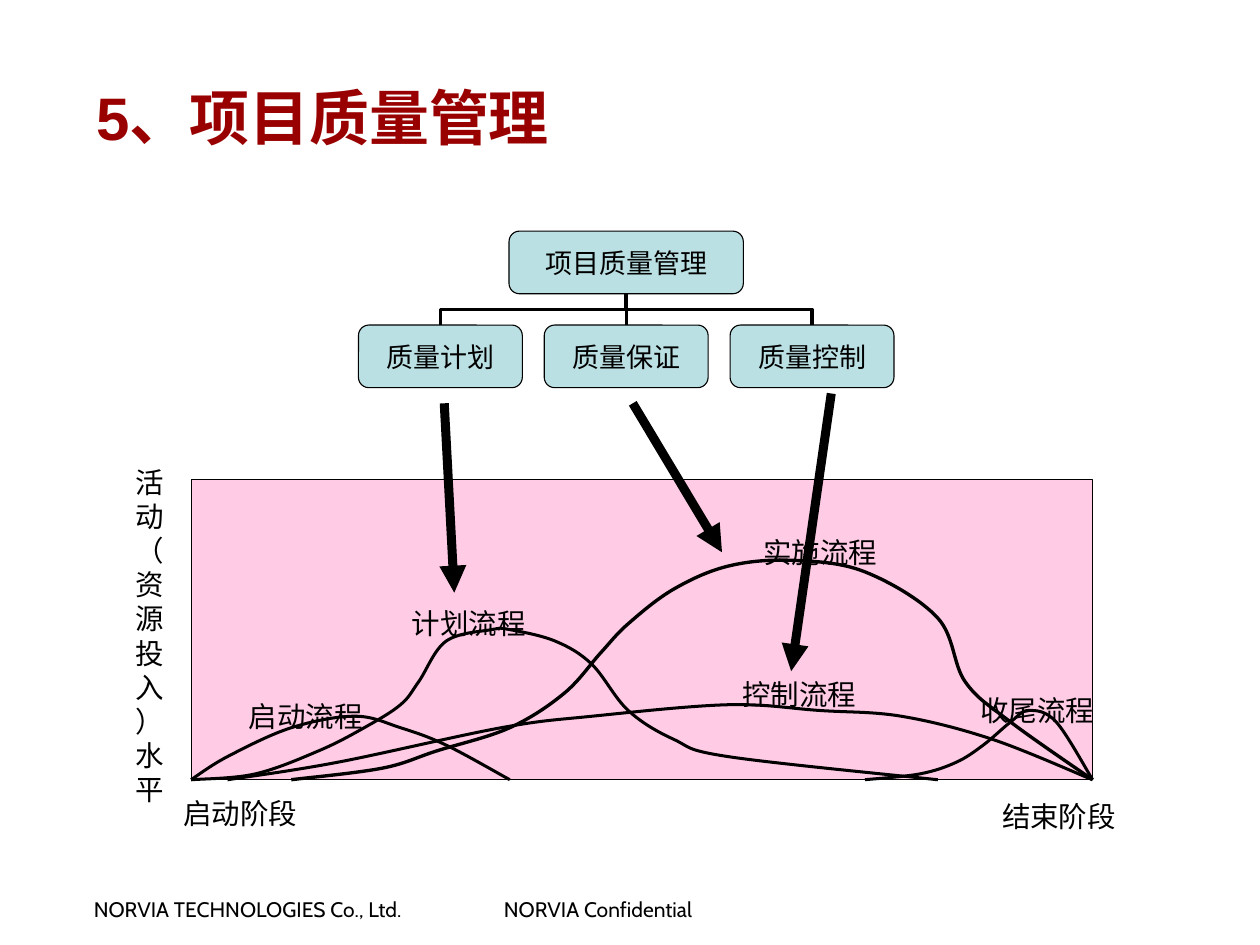
from collections import namedtuple
from itertools import pairwise

from lxml.etree import SubElement
from pptx import Presentation
from pptx.dml.color import RGBColor
from pptx.enum.shapes import MSO_CONNECTOR as Link, MSO_SHAPE as Shape
from pptx.enum.text import MSO_ANCHOR as Anchor, MSO_AUTO_SIZE as AutoSize, PP_ALIGN as Align
from pptx.oxml.ns import qn
from pptx.util import Inches, Pt

Box = namedtuple("Box", "left top width height")

COLORS = {"title": "990000", "ink": "000000", "node": "BBE0E3", "plot": "FF99CC"}
PLOT_COLUMNS, PLOT_ROWS = 99, 52
CURVES = [
    (2, [(0, 0), (4, 4), (11, 9), (18, 11), (23, 9), (28, 6), (35, 0)]),
    (2, [(0, 0), (7, 1), (14, 5), (19, 9), (23, 13), (25, 17), (28, 24), (33, 26),
         (35, 26), (40, 24), (44, 20), (48, 12), (53, 7), (59, 4), (82, 0)]),
    (2.25, [(11, 0), (21, 2), (27, 5), (35, 9), (41, 15), (45, 22), (48, 27), (53, 33),
            (59, 37), (66, 38), (74, 36), (82, 28), (85, 17), (90, 10), (99, 0)]),
    (2, [(4, 0), (16, 3), (34, 9), (44, 11), (59, 13), (69, 12), (78, 11), (88, 7), (99, 0)]),
    (2, [(74, 0), (80, 1), (84, 3), (87, 6), (90, 10), (92, 12), (95, 10), (99, 0)]),
]
PLOT_LABELS = [
    ("启动流程", 12.6, 11), ("计划流程", 30.5, 27.1), ("实施流程", 69.1, 39.5),
    ("控制流程", 66.8, 14.9), ("收尾流程", 92.9, 12.1),
    ("启动阶段", 5.4, -5.7), ("结束阶段", 95.3, -6.3),
]
ARROWS = [
    ((27.8, 65.2), (28.9, 32.4)),
    ((48.5, 65.2), (58.3, 39.4)),
    ((70.3, 66.9), (65.9, 18.8)),
]


def color(name):
    return RGBColor.from_string(COLORS[name])


def set_text(shape, text, size, font, ink="ink", bold=False, align=Align.LEFT, before=0):
    frame = shape.text_frame
    frame.text = text
    para = frame.paragraphs[0]
    para.alignment = align
    para.space_before = Pt(before)
    for span in para.runs:
        span.font.size = Pt(size)
        span.font.name = font
        span.font.bold = bold
        span.font.color.rgb = color(ink)


def set_insets(frame, side, edge):
    frame.margin_left = frame.margin_right = Inches(side)
    frame.margin_top = frame.margin_bottom = Inches(edge)


def add_label(page, box, text):
    label = page.shapes.add_textbox(*map(Inches, box))
    frame = label.text_frame
    frame.word_wrap = True
    frame.auto_size = AutoSize.SHAPE_TO_FIT_TEXT
    set_insets(frame, 0.11, 0.06)
    set_text(label, text, 19, "DejaVu Sans", align=Align.CENTER, before=4.8)
    return label


def add_line(page, kind, start, end, width):
    line = page.shapes.add_connector(kind, *map(Inches, (*start, *end)))
    line.line.color.rgb = color("ink")
    line.line.width = Pt(width)
    SubElement(line._element.spPr, qn("a:effectLst"))
    return line


def add_filled(page, kind, box, fill):
    shape = page.shapes.add_shape(kind, *map(Inches, box))
    shape.shadow.inherit = False
    shape.fill.solid()
    shape.fill.fore_color.rgb = color(fill)
    shape.line.color.rgb = color("ink")
    shape.line.width = Pt(0.75)
    return shape


def add_title(page, box, text):
    title = page.shapes.title
    title.left, title.top, title.width, title.height = map(Inches, box)
    title.text_frame.vertical_anchor = Anchor.MIDDLE
    set_text(title, text, 40, "Arial", "title", bold=True)


def add_footer(page, box, texts):
    for text, share in texts:
        left = box.left + box.width * share
        note = page.shapes.add_textbox(*map(Inches, (left, box.top, 3.38, box.height)))
        note.text_frame.word_wrap = False
        note.text_frame.auto_size = AutoSize.SHAPE_TO_FIT_TEXT
        set_text(note, text, 14, "Cabin")


def add_node(page, box, text):
    node = add_filled(page, Shape.ROUNDED_RECTANGLE, box, "node")
    frame = node.text_frame
    frame.word_wrap = False
    frame.vertical_anchor = Anchor.MIDDLE
    set_insets(frame, 0.06, 0.03)
    set_text(node, text, 18, "Arial", align=Align.CENTER, before=4.5)


def add_branch(page, child, parent):
    (child_x, child_y), (parent_x, parent_y) = child, parent
    if child_x == parent_x:
        add_line(page, Link.STRAIGHT, child, parent, 2.25)
        return
    run, drop = abs(child_x - parent_x), child_y - parent_y
    left = (child_x + parent_x - drop) / 2
    top = (child_y + parent_y - run) / 2
    near, far = left, left + drop
    if child_x < parent_x:
        near, far = far, near
    branch = add_line(page, Link.ELBOW, (near, top + run), (far, top), 2.25)
    angle = 90 if child_x < parent_x else 270
    branch._element.spPr.find(qn("a:xfrm")).set("rot", str(angle * 60000))


def add_tree(page, box, root, children):
    row = box.height / 5
    width = box.width * 0.306
    pitch = (box.width - width) / (len(children) - 1)
    center = box.left + box.width / 2
    child_top = box.top + 3 * row
    lefts = [box.left + index * pitch for index in range(len(children))]
    for left in lefts:
        middle = round(left + width / 2, 4)
        add_branch(page, (middle, child_top), (round(center, 4), box.top + 2 * row))
    root_width = box.width * 0.4375
    add_node(page, Box(center - root_width / 2, box.top, root_width, 2 * row), root)
    for left, text in zip(lefts, children):
        add_node(page, Box(left, child_top, width, 2 * row), text)


def add_curve(page, points, width):
    knots = [(Inches(x), Inches(y)) for x, y in points]
    builder = page.shapes.build_freeform(*knots[0])
    builder.add_line_segments(knots[1:], close=False)
    curve = builder.convert_to_shape()
    curve.shadow.inherit = False
    curve.fill.background()
    curve.line.color.rgb = color("ink")
    curve.line.width = Pt(width)
    padded = [knots[0], *knots, knots[-1]]
    slopes = [((c[0] - a[0]) / 6, (c[1] - a[1]) / 6) for a, c in zip(padded, padded[2:])]
    for segment, (start, end), (leave, arrive) in zip(
            list(curve._element.iter(qn("a:lnTo"))), pairwise(knots), pairwise(slopes)):
        controls = [
            (start[0] + leave[0], start[1] + leave[1]),
            (end[0] - arrive[0], end[1] - arrive[1]),
        ]
        segment.tag = qn("a:cubicBezTo")
        for index, (x, y) in enumerate(controls):
            point = SubElement(segment, qn("a:pt"))
            point.set("x", str(round(x - curve.left)))
            point.set("y", str(round(y - curve.top)))
            segment.insert(index, point)


def add_plot(page, box):
    def place(column, row):
        return (box.left + box.width * column / PLOT_COLUMNS,
                box.top + box.height * (1 - row / PLOT_ROWS))

    plot = add_filled(page, Shape.RECTANGLE, box, "plot")
    tint = plot._element.spPr.find(qn("a:solidFill"))[0]
    SubElement(tint, qn("a:alpha")).set("val", "50000")
    for width, knots in CURVES:
        add_curve(page, [place(*knot) for knot in knots], width)
    for text, column, row in PLOT_LABELS:
        x, y = place(column, row)
        add_label(page, Box(x - 0.75, y - 0.215, 1.5, 0.43), text)
    axis = add_label(page, Box(box.left - 0.65, box.top - 0.2, 0.54, 3.29), "活动（资源投入）水平")
    axis.text_frame.vertical_anchor = Anchor.MIDDLE
    for start, end in ARROWS:
        arrow = add_line(page, Link.STRAIGHT, place(*start), place(*end), 6)
        SubElement(arrow.line._get_or_add_ln(), qn("a:tailEnd")).set("type", "triangle")


def main():
    deck = Presentation()
    deck.slide_width, deck.slide_height = Inches(11.67), Inches(8.75)
    page = deck.slides.add_slide(deck.slide_layouts[5])
    add_title(page, Box(0.79, 0.35, 10.29, 1.46), "5、项目质量管理")
    add_footer(page, Box(0.77, 8.25, 10.13, 0.33),
               [("NORVIA TECHNOLOGIES Co., Ltd.", 0), ("NORVIA Confidential", 0.375)])
    add_tree(page, Box(3.32, 2.14, 4.96, 1.45), "项目质量管理",
             ["质量计划", "质量保证", "质量控制"])
    add_plot(page, Box(1.77, 4.44, 8.35, 2.78))
    deck.save("out.pptx")


if __name__ == "__main__":
    main()
